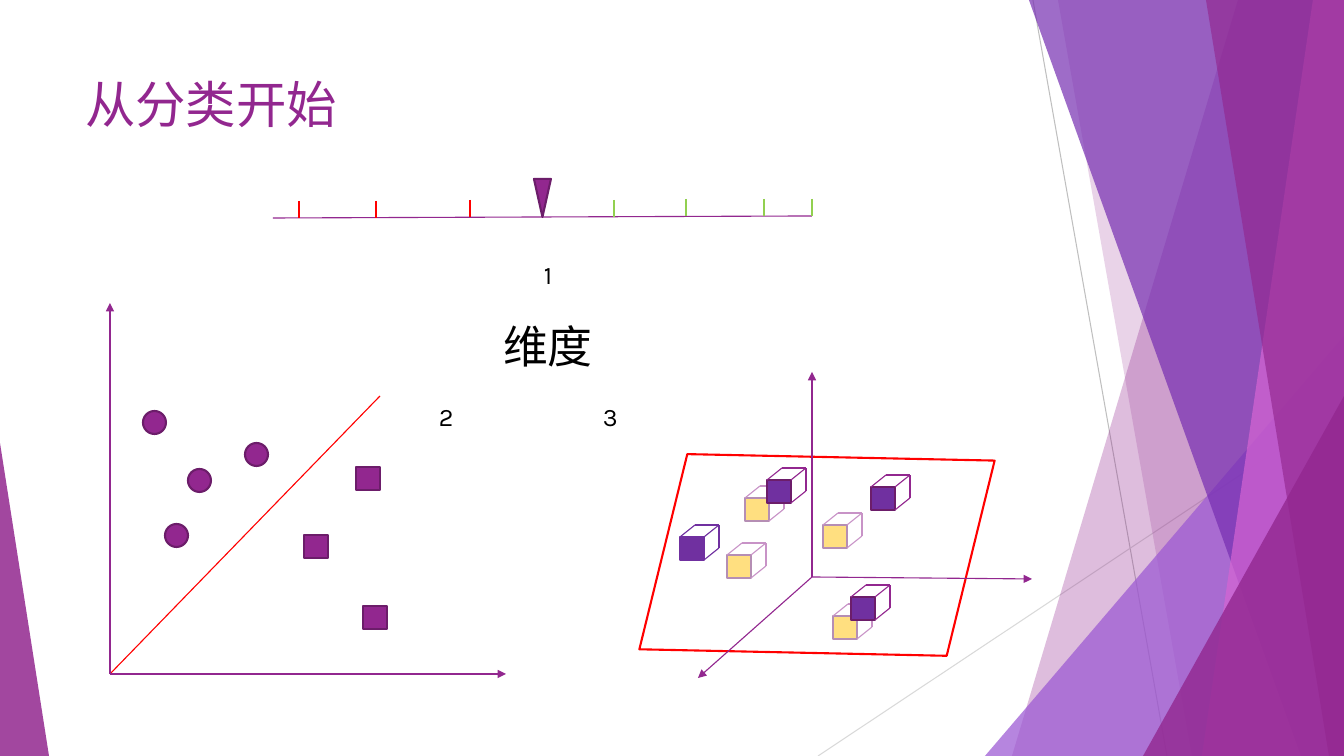
from lxml import etree
from pptx import Presentation
from pptx import util as u
from pptx.dml.color import RGBColor
from pptx.enum import shapes as s, text as t
from pptx.oxml import ns

SCALE = 12192000 / 1344  # EMU per px
WIDTH, HEIGHT = 1344, 756
FONT = "Karla"

PLUM = RGBColor(0x92, 0x27, 0x8F)
DARK_PLUM = RGBColor(0x6C, 0x1D, 0x6A)
VIOLET = RGBColor(0x9B, 0x57, 0xD3)
DEEP_VIOLET = RGBColor(0x76, 0x2E, 0xB1)
PINK = RGBColor(0xD6, 0x65, 0xD3)
PURPLE = RGBColor(0x70, 0x30, 0xA0)
AMBER = RGBColor(0xFF, 0xC0, 0x00)
RED = RGBColor(0xFF, 0x00, 0x00)
GREEN = RGBColor(0x92, 0xD0, 0x50)
GREY = RGBColor(0xBF, 0xBF, 0xBF)
LIGHT_GREY = RGBColor(0xD9, 0xD9, 0xD9)
WHITE = RGBColor(0xFF, 0xFF, 0xFF)
BLACK = RGBColor(0, 0, 0)

RECT = s.MSO_SHAPE.RECTANGLE
CIRCLE = s.MSO_SHAPE.OVAL
TRIANGLE = s.MSO_SHAPE.ISOSCELES_TRIANGLE


def px(*lengths):
    return [u.Emu(round(length * SCALE)) for length in lengths]


def paint(shape, fill, opacity=100, line=None):
    shape.shadow.inherit = False
    shape.fill.solid()
    shape.fill.fore_color.rgb = fill
    if opacity < 100:
        colour = shape.fill._xPr.find(".//" + ns.qn("a:srgbClr"))
        etree.SubElement(colour, ns.qn("a:alpha"), val=str(opacity * 1000))
    if line is None:
        shape.line.fill.background()
    else:
        shape.line.color.rgb = line
        shape.line.width = u.Pt(1.5)


def add_preset(shapes, kind, box, fill, opacity=100, line=None, flip=False):
    shape = shapes.add_shape(kind, *px(*box))
    paint(shape, fill, opacity, line)
    if flip:
        shape._element.spPr.xfrm.set("flipV", "1")
    return shape


def add_line(shapes, start, end, colour=PLUM, width=0.79, arrow=False):
    line = shapes.add_connector(s.MSO_CONNECTOR.STRAIGHT, *px(*start, *end))
    line.line.color.rgb = colour
    line.line.width = u.Pt(width)
    if arrow:
        etree.SubElement(line.line._get_or_add_ln(), ns.qn("a:tailEnd"), type="triangle")
    etree.SubElement(line._element.spPr, ns.qn("a:effectLst"))


def add_shard(shapes, top, bottom, fill, opacity):
    """Full-height panel from a slanted left edge to the slide's right edge."""
    builder = shapes.build_freeform(top, 0, scale=SCALE)
    builder.add_line_segments([(WIDTH, 0), (WIDTH, HEIGHT), (bottom, HEIGHT)])
    paint(builder.convert_to_shape(), fill, opacity)


def add_corner(shapes, left, top, width, apex, fill, opacity):
    corner = add_preset(shapes, TRIANGLE, (left, top, width, HEIGHT - top), fill, opacity)
    corner.adjustments[0] = apex


def add_backdrop(shapes):
    add_line(shapes, (1033, 0), (1167, HEIGHT), GREY, 0.75)
    add_line(shapes, (WIDTH, 406), (818, HEIGHT), LIGHT_GREY, 0.75)
    add_shard(shapes, 1238, 1012, PLUM, 30)
    add_shard(shapes, 1058, 1192, PLUM, 20)
    add_corner(shapes, 985, 336, 359, 1, VIOLET, 72)
    add_shard(shapes, 1029, 1301, DEEP_VIOLET, 70)
    add_shard(shapes, 1313, 1202, PINK, 70)
    add_shard(shapes, 1206, 1329, PLUM, 65)
    add_corner(shapes, 1143, 396, 201, 1, PLUM, 80)
    add_corner(shapes, 0, 443, 49, 0, PLUM, 85)


def add_cube(shapes, x, y, fill, border=DARK_PLUM, edge=PLUM, front_edge=True):
    cube = shapes.add_group_shape().shapes
    add_preset(cube, RECT, (x, y, 24, 23), fill, line=border)
    right, back_left, back_right, back = x + 24, x + 15, x + 39, y - 12
    edges = [((x, y), (back_left, back)),
             ((right, y + 23), (back_right, back + 23)),
             ((back_left, back), (back_right, back)),
             ((back_right, back + 23), (back_right, back))]
    if front_edge:
        edges.append(((right, y), (back_right, back)))
    for start, end in edges:
        add_line(cube, start, end, edge)


def add_number_line(shapes):
    left, right, y, drop = 273, 812, 218, 2
    add_line(shapes, (left, y), (right, y - drop))
    add_preset(shapes, TRIANGLE, (534, 179, 17, 38), PLUM, line=DARK_PLUM, flip=True)
    for colour, ticks in ((RED, (299, 376, 470)), (GREEN, (614, 686, 764, 812))):
        for x in ticks:
            foot = y - round(drop * (x - left) / (right - left))
            add_line(shapes, (x, foot - 17), (x, foot), colour, 2)


def add_plane_plot(shapes):
    for x, y in ((143, 411), (245, 443), (165, 524), (188, 469)):
        add_preset(shapes, CIRCLE, (x, y, 23, 23), PLUM, line=DARK_PLUM)
    for x, y in ((356, 467), (304, 535), (363, 606)):
        add_preset(shapes, RECT, (x, y, 24, 23), PLUM, line=DARK_PLUM)
    origin = (110, 674)
    add_line(shapes, origin, (380, 396), RED)
    for tip in ((506, 674), (110, 303)):
        add_line(shapes, origin, tip, arrow=True)


def add_space_plot(shapes):
    for x, y, front_edge in ((727, 555, True), (833, 616, False),
                             (823, 525, True), (745, 498, False)):
        add_cube(shapes, x, y, AMBER, front_edge=front_edge)
    divider = add_preset(shapes, s.MSO_SHAPE.PARALLELOGRAM, (683, 405, 268, 300),
                         WHITE, 50, RED, flip=True)
    divider.rotation = 283.8
    for tip in ((1032, 579), (812, 372), (698, 678)):
        add_line(shapes, (812, 577), tip, arrow=True)
    add_cube(shapes, 680, 537, PURPLE, PURPLE, PURPLE)
    for x, y in ((851, 597), (767, 480), (871, 487)):
        add_cube(shapes, x, y, PURPLE)


def style(paragraph, size, colour, align):
    paragraph.alignment = align
    paragraph.font.name = FONT
    paragraph.font.size = u.Pt(size)
    paragraph.font.color.rgb = colour


def add_title(slide, words):
    title = slide.shapes.title
    title.left, title.top, title.width, title.height = px(75, 68, 948, 145)
    title.text_frame.text = words
    title.text_frame.vertical_anchor = t.MSO_ANCHOR.TOP
    style(title.text_frame.paragraphs[0], 36, PLUM, t.PP_ALIGN.LEFT)


def add_dimension_label(shapes):
    frame = shapes.add_textbox(*px(429, 254, 238, 186)).text_frame
    frame.word_wrap = True
    rows = (("1", 18, t.PP_ALIGN.CENTER), ("维度", 32, t.PP_ALIGN.CENTER),
            ("2\t3", 18, t.PP_ALIGN.LEFT))
    for index, (words, size, align) in enumerate(rows):
        paragraph = frame.add_paragraph() if index else frame.paragraphs[0]
        paragraph.text = words
        if index:
            paragraph.space_before = u.Pt(21)
        if "\t" in words:
            tabs = etree.SubElement(paragraph._p.get_or_add_pPr(), ns.qn("a:tabLst"))
            etree.SubElement(tabs, ns.qn("a:tab"), pos=str(px(164)[0]), algn="l")
        style(paragraph, size, BLACK, align)


def main():
    deck = Presentation()
    deck.slide_width, deck.slide_height = px(WIDTH, HEIGHT)
    slide = deck.slides.add_slide(deck.slide_layouts[5])
    add_backdrop(slide.shapes)
    add_title(slide, "从分类开始")
    add_number_line(slide.shapes)
    add_plane_plot(slide.shapes)
    add_space_plot(slide.shapes)
    add_dimension_label(slide.shapes)
    deck.save("out.pptx")


if __name__ == "__main__":
    main()
